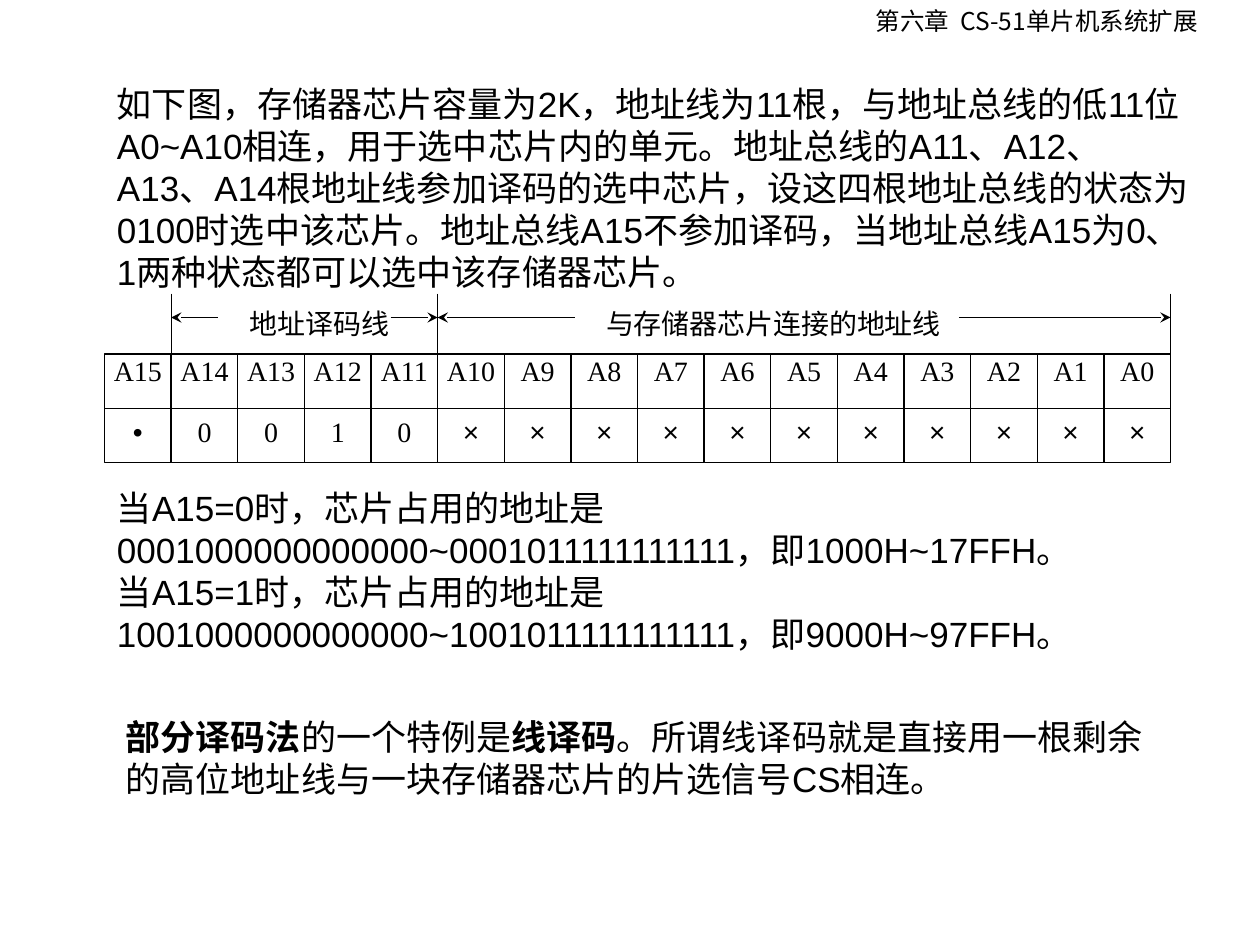
from dataclasses import dataclass

from pptx import Presentation
from pptx.dml.color import RGBColor
from pptx.enum.shapes import MSO_CONNECTOR as Link, MSO_SHAPE as Shape
from pptx.enum.text import MSO_ANCHOR as Anchor, PP_ALIGN as Align
from pptx.oxml.ns import qn
from pptx.util import Inches, Pt
from lxml.etree import SubElement


@dataclass(frozen=True)
class Theme:
    ink: RGBColor = RGBColor(0, 0, 0)
    paper: RGBColor = RGBColor(255, 255, 255)
    sans: str = "Arial"
    serif: str = "Times New Roman"
    chinese: str = "Noto Sans CJK JP"
    header_size: int = 14
    label_size: int = 16
    body_size: int = 20
    line_width: float = 0.75


class SlideBuilder:
    def __init__(self, page, theme):
        self.page = page
        self.theme = theme

    def add_paragraphs(self, frame, paragraphs, size, align=None, before=None):
        """Each paragraph is a list of (text, font, bold) runs."""
        for index, runs in enumerate(paragraphs):
            para = frame.paragraphs[0] if index == 0 else frame.add_paragraph()
            para.alignment = align
            if before is not None:
                para.space_before = Pt(before)
            for text, font, bold in runs:
                span = para.add_run()
                span.text = text
                span.font.name = font
                span.font.size = Pt(size)
                span.font.bold = bold
                span.font.color.rgb = self.theme.ink
                SubElement(span.font._element, qn("a:ea")).set("typeface", self.theme.chinese)

    def text(self, area, paragraphs, size, anchor=Anchor.MIDDLE, wrap=True):
        box = self.page.shapes.add_textbox(*map(Inches, area))
        frame = box.text_frame
        frame.word_wrap = wrap
        frame.vertical_anchor = anchor
        self.add_paragraphs(frame, paragraphs, size)

    def trim(self, frame):
        frame.margin_left = frame.margin_right = 0
        frame.margin_top = frame.margin_bottom = 0
        frame.word_wrap = True
        frame.vertical_anchor = Anchor.TOP

    def label(self, area, text):
        box = self.page.shapes.add_textbox(*map(Inches, area))
        self.trim(box.text_frame)
        self.add_paragraphs(box.text_frame, [[(text, self.theme.serif, False)]],
                            self.theme.label_size, Align.CENTER)

    def bit_cell(self, area, name, value):
        box = self.page.shapes.add_shape(Shape.RECTANGLE, *map(Inches, area))
        box.shadow.inherit = False
        box.fill.solid()
        box.fill.fore_color.rgb = self.theme.paper
        box.line.color.rgb = self.theme.ink
        box.line.width = Pt(self.theme.line_width)
        self.trim(box.text_frame)
        value_font = self.theme.serif if value in "01" else self.theme.sans
        self.add_paragraphs(box.text_frame,
                            [[(name, self.theme.serif, False)], [(value, value_font, False)]],
                            self.theme.label_size, Align.CENTER, before=15.5)

    def line(self, x1, y1, x2, y2, arrow=False):
        link = self.page.shapes.add_connector(
            Link.STRAIGHT, *map(Inches, (x1, y1, x2, y2)))
        link.line.color.rgb = self.theme.ink
        link.line.width = Pt(self.theme.line_width)
        if arrow:
            outline = link._element.spPr.find(qn("a:ln"))
            SubElement(outline, qn("a:tailEnd")).set("type", "stealth")
        SubElement(link._element.spPr, qn("a:effectLst"))


def main():
    deck = Presentation()
    deck.slide_width, deck.slide_height = Inches(10), Inches(7.5)
    theme = Theme()
    slide = SlideBuilder(deck.slides.add_slide(deck.slide_layouts[6]), theme)

    def plain(text):
        return [(text, theme.sans, False)]

    # Chapter header
    slide.text((6.85, 0, 2.85, 0.34),
               [[("第六章  CS-51单片机系统扩展", theme.chinese, False)]],
               theme.header_size, Anchor.TOP, wrap=False)

    # Introduction
    slide.text((0.83, 0.6, 8.74, 1.77), [plain(
        "如下图，存储器芯片容量为2K，地址线为11根，与地址总线的低11位A0~A10相连，"
        "用于选中芯片内的单元。地址总线的A11、A12、A13、A14根地址线参加译码的选中芯片，"
        "设这四根地址总线的状态为0100时选中该芯片。地址总线A15不参加译码，"
        "当地址总线A15为0、1两种状态都可以选中该存储器芯片。")], theme.body_size)

    # Address bits, A15 down to A0
    left, right, top, height = 0.83, 9.29, 2.81, 0.86
    values = "•0010" + "×" * 11
    pitch = (right - left) / len(values)
    for column, value in enumerate(values):
        slide.bit_cell((left + column * pitch, top, pitch, height),
                       f"A{len(values) - 1 - column}", value)
    slide.line(left, top + height / 2, right, top + height / 2)

    # Brackets over the decoded bits and the chip's own bits
    decode_start, chip_start = left + pitch, left + 5 * pitch
    for x in (decode_start, chip_start, right):
        slide.line(x, 2.33, x, top)
    arrow_y = 2.52
    for start, end in ((1.73, decode_start), (3.1, chip_start),
                       (4.56, chip_start), (7.61, right)):
        slide.line(start, arrow_y, end, arrow_y, arrow=True)
    slide.label((1.88, 2.43, 1.31, 0.19), "地址译码线")
    slide.label((4.74, 2.43, 2.8, 0.19), "与存储器芯片连接的地址线")

    # Address ranges
    slide.text((0.83, 3.81, 8.58, 1.44), [
        plain("当A15=0时，芯片占用的地址是0001000000000000~0001011111111111，即1000H~17FFH。"),
        plain("当A15=1时，芯片占用的地址是1001000000000000~1001011111111111，即9000H~97FFH。"),
    ], theme.body_size)

    # Special case: line decoding
    slide.text((0.9, 5.63, 8.27, 0.77), [[
        ("部分译码法", theme.sans, True),
        ("的一个特例是", theme.sans, False),
        ("线译码", theme.sans, True),
        ("。所谓线译码就是直接用一根剩余的高位地址线与一块存储器芯片的片选信号CS相连。",
         theme.sans, False),
    ]], theme.body_size)

    deck.save("out.pptx")


if __name__ == "__main__":
    main()
